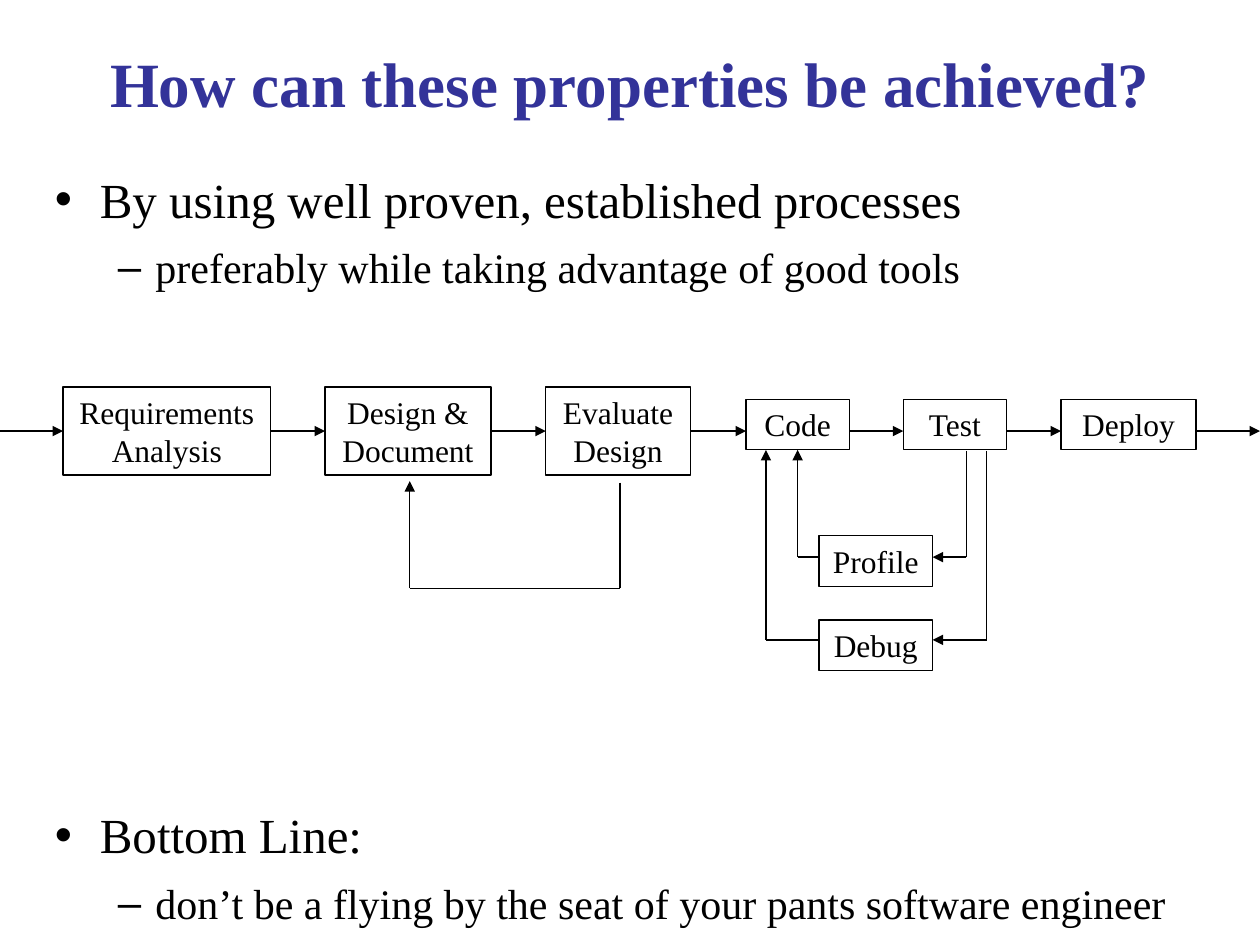
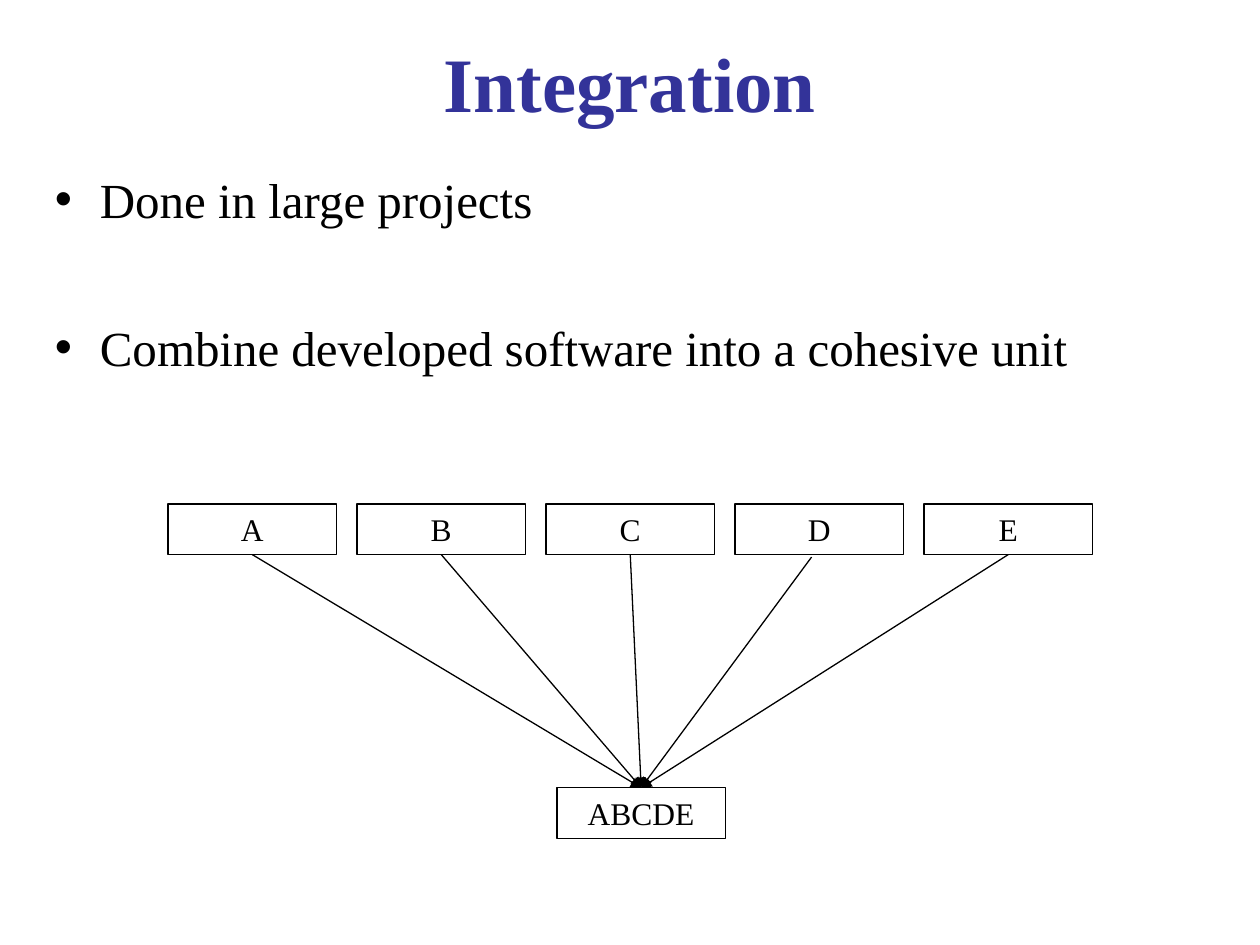
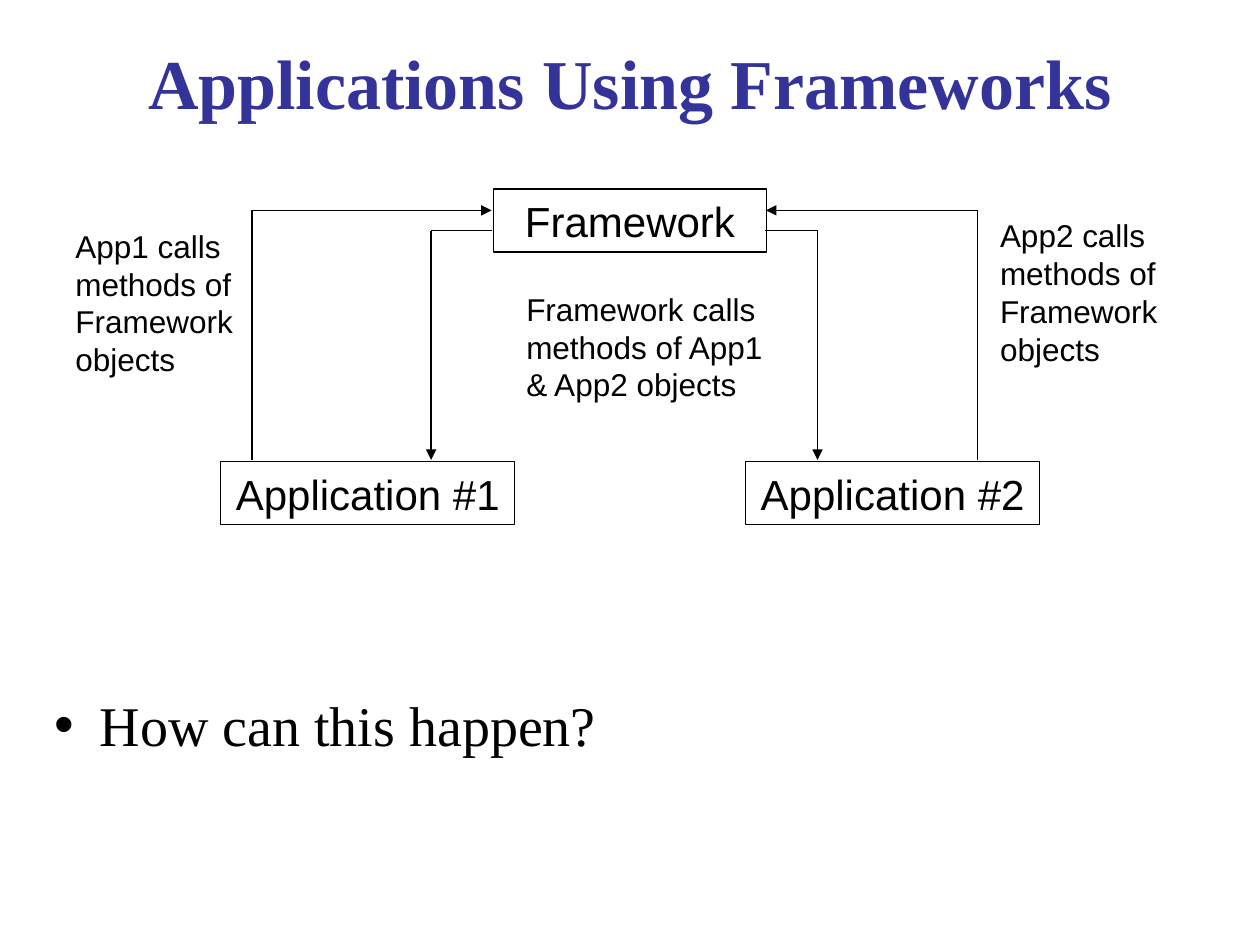
from itertools import pairwise

from lxml.etree import SubElement
from pptx import Presentation
from pptx.dml.color import RGBColor
from pptx.enum.shapes import MSO_CONNECTOR as LINE, MSO_SHAPE as SHAPE
from pptx.enum.text import MSO_ANCHOR as ANCHOR, MSO_AUTO_SIZE as AUTOSIZE, PP_ALIGN as ALIGN
from pptx.oxml.ns import qn
from pptx.util import Cm, Pt

# Shared style; all positions and sizes are in centimetres
COLORS = {"title": "333399", "ink": "000000"}
SERIF, SANS = "Times New Roman", "Arial"
SLIDE_W, SLIDE_H = 25.4, 19.05
MARGIN, CONTENT_W = 0.85, 23.7
TITLE_MIDDLE, TITLE_H = 1.65, 2.1
BODY_TOP = 3.28
INDENTS = [(0.91, -0.91), (2.03, -0.76)]
LEFT, RIGHT, TOP, BOTTOM = 1, 3, 0, 2

# Slide 1: bullets are (level, text, size, space before)
PROCESS_TITLE = ("How can these properties be achieved?", 36)
PROCESS_BULLETS = [
    (0, "By using well proven, established processes", 28, 7),
    (1, "preferably while taking advantage of good tools", 24, 8),
    (0, "Bottom Line:", 28, 293),
    (1, "don’t be a flying by the seat of your pants software engineer", 24, 8),
]
FLOW_Y = 8.69
TALL, SHORT = (7.8, 1.78), (8.05, 1.02)  # top, height
STAGES = [  # text, left, width, (top, height)
    ("Requirements Analysis", 1.27, 4.19, TALL),
    ("Design & Document", 6.55, 3.35, TALL),
    ("Evaluate Design", 11, 2.92, TALL),
    ("Code", 15.04, 2.08, SHORT),
    ("Test", 18.21, 2.08, SHORT),
    ("Deploy", 21.39, 2.72, SHORT),
]
CHECK_LEFT, CHECK_W, CHECK_H = 16.51, 2.29, 1.02
CHECKS = [  # text, top, line height, x below Test, x below Code
    ("Profile", 10.8, 11.23, 19.48, 16.08),
    ("Debug", 12.5, 12.9, 19.89, 15.44),
]
REDESIGN = [(12.5, 9.73), (12.5, 11.86), (8.26, 11.86), (8.26, 9.7)]

# Slide 2
INTEGRATION_TITLE = ("Integration", 44)
INTEGRATION_BULLETS = [
    (0, "Done in large projects", 28, 8),
    (0, "Combine developed software into a cohesive unit", 28, 51),
]
MODULES = "ABCDE"
MODULE_LEFT, MODULE_TOP, MODULE_STEP = 3.39, 10.16, 3.81
MODULE_W, MODULE_H = 3.39, 1.02
UNIT_LEFT, UNIT_TOP = 11.23, 15.88
OFF_CENTRE = {"D": (16.36, 11.23)}

# Slide 3
FRAMEWORK_TITLE = ("Applications Using Frameworks", 40)
FRAMEWORK_BULLETS = [(0, "How can this happen?", 32, 8)]
FRAMEWORK_BODY_TOP = 13.8
PARTS = [  # text, left, top, width
    ("Framework", 9.95, 3.81, 5.5),
    ("Application #1", 4.45, 9.31, 5.93),
    ("Application #2", 15.03, 9.31, 5.93),
]
PART_H = 1.27
CALLS = [
    [(5.08, 9.27), (5.08, 4.24), (9.91, 4.24)],
    [(19.71, 9.27), (19.71, 4.24), (15.44, 4.24)],
    [(9.91, 4.65), (8.69, 4.65), (8.69, 9.27)],
    [(15.42, 4.65), (16.48, 4.65), (16.48, 9.27)],
]
CALL_NOTES = [  # text, left, top, width, height
    ("App1 calls methods of Framework objects", 1.27, 4.45, 4.19, 3.3),
    ("App2 calls methods of Framework objects", 19.91, 4.24, 4.19, 3.3),
    ("Framework calls methods of App1 & App2 objects", 10.36, 5.72, 5.66, 2.54),
]


def color(name):
    return RGBColor.from_string(COLORS[name])


def write(paragraph, text, size, font=SERIF, ink="ink", bold=False):
    run = paragraph.add_run()
    run.text = text
    run.font.name, run.font.size, run.font.bold = font, Pt(size), bold
    run.font.color.rgb = color(ink)


def place(shape, left, top, width, height):
    shape.left, shape.top = Cm(left), Cm(top)
    shape.width, shape.height = Cm(width), Cm(height)


def add_slide(prs, heading, bullets, body_top=BODY_TOP):
    slide = prs.slides.add_slide(prs.slide_layouts[1])
    title, body = slide.shapes.title, slide.placeholders[1]

    place(title, MARGIN, TITLE_MIDDLE - TITLE_H / 2, CONTENT_W, TITLE_H)
    title.text_frame.auto_size = AUTOSIZE.NONE
    title.text_frame.vertical_anchor = ANCHOR.MIDDLE
    title.text_frame.paragraphs[0].alignment = ALIGN.CENTER
    write(title.text_frame.paragraphs[0], *heading, ink="title", bold=True)

    place(body, MARGIN, body_top, CONTENT_W, SLIDE_H - 0.5 - body_top)
    frame = body.text_frame
    frame.auto_size = AUTOSIZE.NONE
    for i, (level, text, size, before) in enumerate(bullets):
        paragraph = frame.add_paragraph() if i else frame.paragraphs[0]
        paragraph.level = level
        paragraph.space_before = Pt(before)
        margin, indent = INDENTS[level]
        props = paragraph._p.get_or_add_pPr()
        props.set("marL", str(Cm(margin)))
        props.set("indent", str(Cm(indent)))
        write(paragraph, text, size)
    return slide


def add_box(slide, text, left, top, width, height, size=18, font=SERIF):
    box = slide.shapes.add_shape(SHAPE.RECTANGLE, Cm(left), Cm(top), Cm(width), Cm(height))
    box.shadow.inherit = False
    box.fill.background()
    box.line.color.rgb = color("ink")
    box.line.width = Pt(0.75)
    frame = box.text_frame
    frame.word_wrap = True
    frame.vertical_anchor = ANCHOR.TOP
    frame.paragraphs[0].alignment = ALIGN.CENTER
    write(frame.paragraphs[0], text, size, font)
    return box


def add_line(slide, start, end, arrow=True):
    line = slide.shapes.add_connector(LINE.STRAIGHT, *map(Cm, start + end))
    line.line.color.rgb = color("ink")
    line.line.width = Pt(0.75)
    if arrow:
        SubElement(line.line._get_or_add_ln(), qn("a:tailEnd"), type="triangle")
    SubElement(line._element.spPr, qn("a:effectLst"))
    return line


def add_route(slide, points, arrow=True):
    """Straight legs through the points, with an arrowhead on the last one."""
    legs = list(pairwise(points))
    for i, (start, end) in enumerate(legs, 1):
        add_line(slide, start, end, arrow and i == len(legs))


def build_process(prs):
    slide = add_slide(prs, PROCESS_TITLE, PROCESS_BULLETS)
    boxes = [add_box(slide, text, left, top, width, height)
             for text, left, width, (top, height) in STAGES]

    # Arrows into, between and out of the stages
    lefts = [left for _, left, _, _ in STAGES] + [SLIDE_W]
    rights = [0] + [left + width for _, left, width, _ in STAGES]
    centred = [span == TALL for *_, span in STAGES]
    for i, (start, end) in enumerate(zip(rights, lefts)):
        arrow = add_line(slide, (start, FLOW_Y), (end, FLOW_Y))
        if i > 0 and centred[i - 1]:
            arrow.begin_connect(boxes[i - 1], RIGHT)
        if i < len(boxes) and centred[i]:
            arrow.end_connect(boxes[i], LEFT)

    # Loops from Test through each check back to Code
    for text, top, y, test_x, code_x in CHECKS:
        add_box(slide, text, CHECK_LEFT, top, CHECK_W, CHECK_H)
        add_route(slide, [(test_x, 9.09), (test_x, y), (CHECK_LEFT + CHECK_W, y)])
        add_route(slide, [(CHECK_LEFT, y), (code_x, y), (code_x, 9.07)])
    add_route(slide, REDESIGN)


def build_integration(prs):
    slide = add_slide(prs, INTEGRATION_TITLE, INTEGRATION_BULLETS)
    unit = add_box(slide, MODULES, UNIT_LEFT, UNIT_TOP, MODULE_W, MODULE_H)
    unit_top = (UNIT_LEFT + MODULE_W / 2, UNIT_TOP)
    for i, name in enumerate(MODULES):
        left = MODULE_LEFT + i * MODULE_STEP
        module = add_box(slide, name, left, MODULE_TOP, MODULE_W, MODULE_H)
        middle = (left + MODULE_W / 2, MODULE_TOP + MODULE_H)
        arrow = add_line(slide, OFF_CENTRE.get(name, middle), unit_top)
        if name not in OFF_CENTRE:
            arrow.begin_connect(module, BOTTOM)
        arrow.end_connect(unit, TOP)


def build_frameworks(prs):
    slide = add_slide(prs, FRAMEWORK_TITLE, FRAMEWORK_BULLETS, FRAMEWORK_BODY_TOP)
    for text, left, top, width in PARTS:
        add_box(slide, text, left, top, width, PART_H, 24, SANS)
    for points in CALLS:
        add_route(slide, points)
    for text, *area in CALL_NOTES:
        note = slide.shapes.add_textbox(*map(Cm, area))
        note.text_frame.word_wrap = True
        write(note.text_frame.paragraphs[0], text, 18, SANS)


def main():
    prs = Presentation()
    prs.slide_width, prs.slide_height = Cm(SLIDE_W), Cm(SLIDE_H)
    build_process(prs)
    build_integration(prs)
    build_frameworks(prs)
    prs.save("out.pptx")


if __name__ == "__main__":
    main()
